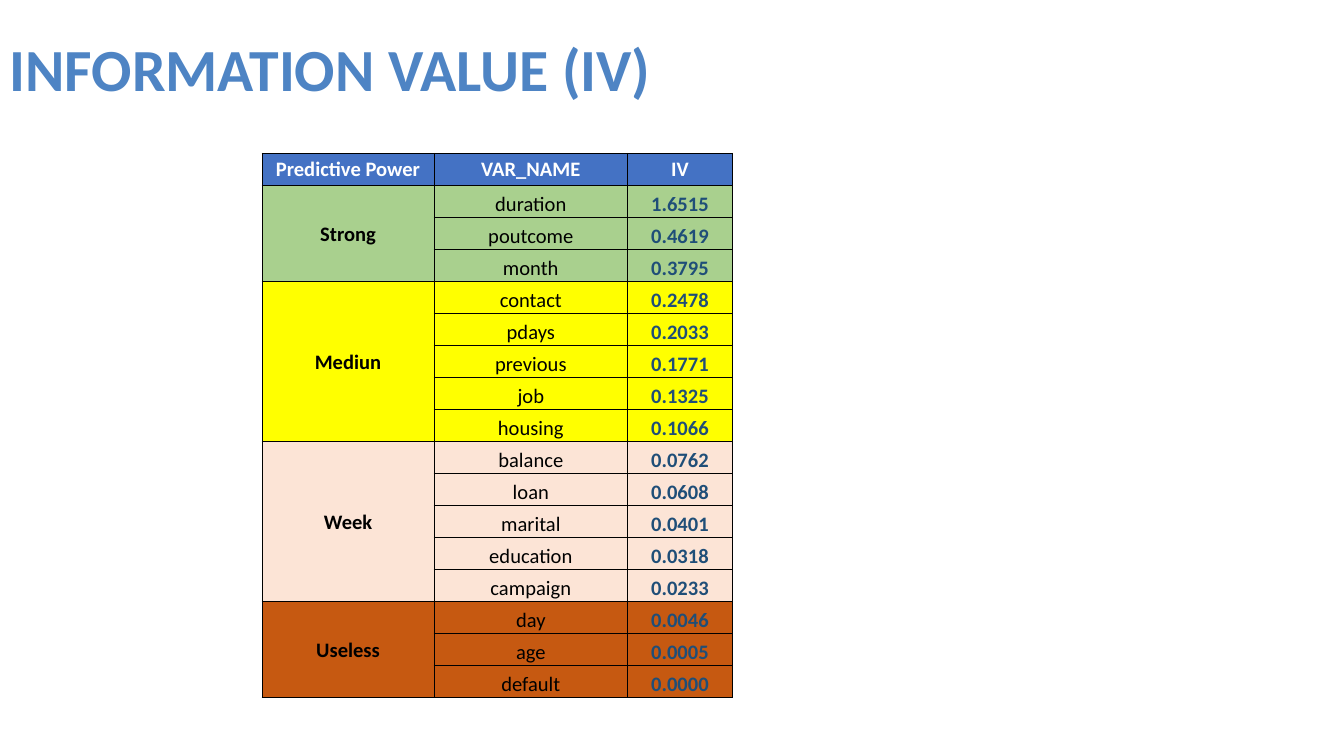
"""Build the Information Value (IV) slide with its predictive power table."""
from lxml.etree import SubElement
from pptx import Presentation
from pptx.dml.color import RGBColor
from pptx.enum.text import MSO_ANCHOR as Anchor, PP_ALIGN as Align
from pptx.oxml.ns import qn
from pptx.util import Inches, Pt

WHITE = RGBColor(0xFF, 0xFF, 0xFF)
BLACK = RGBColor(0x00, 0x00, 0x00)
TITLE_BLUE = RGBColor(0x4E, 0x84, 0xC4)
HEADER_BLUE = RGBColor(0x44, 0x72, 0xC4)
VALUE_BLUE = RGBColor(0x1F, 0x4E, 0x78)
GREEN = RGBColor(0xA9, 0xD0, 0x8E)
YELLOW = RGBColor(0xFF, 0xFF, 0x00)
PEACH = RGBColor(0xFC, 0xE4, 0xD6)
RUST = RGBColor(0xC6, 0x59, 0x11)

HEADERS = ["Predictive Power", "VAR_NAME", "IV"]
COLUMN_WIDTHS = [1.28, 1.44, 0.78]
POWER_GROUPS = [
    ("Strong", GREEN, [("duration", "1.6515"), ("poutcome", "0.4619"), ("month", "0.3795")]),
    ("Mediun", YELLOW, [("contact", "0.2478"), ("pdays", "0.2033"), ("previous", "0.1771"),
                        ("job", "0.1325"), ("housing", "0.1066")]),
    ("Week", PEACH, [("balance", "0.0762"), ("loan", "0.0608"), ("marital", "0.0401"),
                     ("education", "0.0318"), ("campaign", "0.0233")]),
    ("Useless", RUST, [("day", "0.0046"), ("age", "0.0005"), ("default", "0.0000")]),
]


def write(frame, text, size=11, color=BLACK, bold=True, align=Align.CENTER):
    paragraph = frame.paragraphs[0]
    paragraph.alignment = align
    run = paragraph.add_run()
    run.text = text
    run.font.name = "Calibri"
    run.font.size = Pt(size)
    run.font.bold = bold
    run.font.color.rgb = color


def style_cell(cell, fill, anchor=Anchor.MIDDLE):
    cell.margin_left = cell.margin_right = cell.margin_top = Inches(0.01)
    cell.margin_bottom = 0
    cell.vertical_anchor = anchor
    properties = cell._tc.get_or_add_tcPr()
    for side in ("a:lnL", "a:lnR", "a:lnT", "a:lnB"):
        border = SubElement(properties, qn(side), w=str(Pt(0.5)))
        solid = SubElement(border, qn("a:solidFill"))
        SubElement(solid, qn("a:srgbClr"), val=str(BLACK))
    cell.fill.solid()
    cell.fill.fore_color.rgb = fill


prs = Presentation()
prs.slide_width = Inches(10)
prs.slide_height = Inches(10) * 9 // 16
slide = prs.slides.add_slide(prs.slide_layouts[6])

title = slide.shapes.add_textbox(Inches(0), Inches(0.24), Inches(9.72), Inches(0.53)).text_frame
title.word_wrap = True
title.vertical_anchor = Anchor.MIDDLE
title.margin_left = title.margin_right = Inches(0.07)
title.margin_top = title.margin_bottom = Inches(0.04)
write(title, "INFORMATION VALUE (IV)", size=32, color=TITLE_BLUE, align=Align.LEFT)

row_count = 1 + sum(len(variables) for _, _, variables in POWER_GROUPS)
iv_table = slide.shapes.add_table(row_count, len(HEADERS), Inches(1.95), Inches(1.14),
                                  Inches(3.5), Inches(4.05)).table
for column, width in zip(iv_table.columns, COLUMN_WIDTHS):
    column.width = Inches(width)

for index, header in enumerate(HEADERS):
    header_cell = iv_table.cell(0, index)
    style_cell(header_cell, HEADER_BLUE)
    write(header_cell.text_frame, header, color=WHITE)

row = 1
for power, fill, variables in POWER_GROUPS:
    power_cell = iv_table.cell(row, 0)
    power_cell.merge(iv_table.cell(row + len(variables) - 1, 0))
    write(power_cell.text_frame, power)
    for variable, value in variables:
        style_cell(iv_table.cell(row, 0), fill)
        variable_cell, value_cell = iv_table.cell(row, 1), iv_table.cell(row, 2)
        style_cell(variable_cell, fill, Anchor.BOTTOM)
        style_cell(value_cell, fill, Anchor.BOTTOM)
        write(variable_cell.text_frame, variable, bold=False)
        write(value_cell.text_frame, value, color=VALUE_BLUE)
        row += 1

prs.save("out.pptx")
